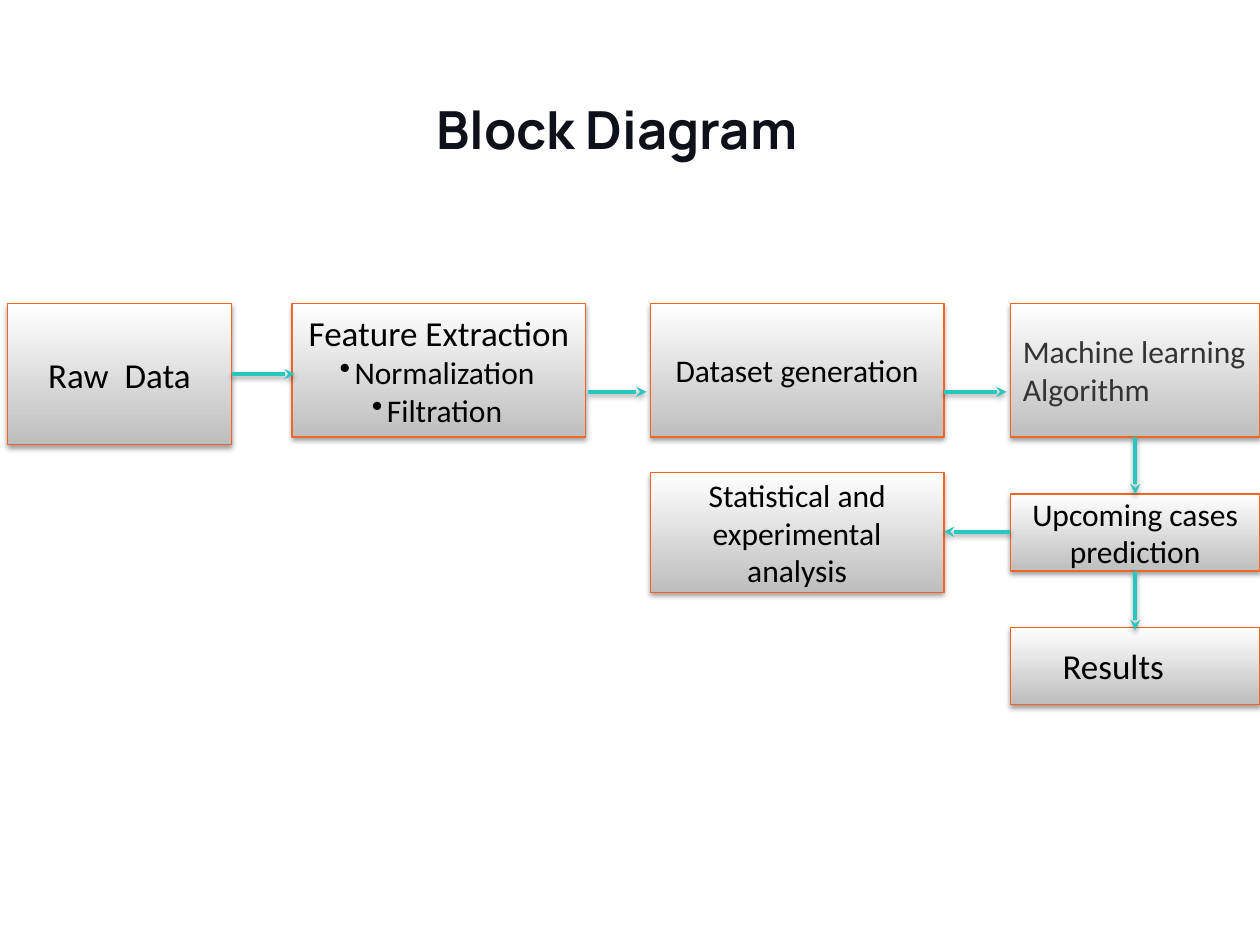
from dataclasses import dataclass

from lxml import etree
from pptx import Presentation
from pptx import util as u
from pptx.dml.color import RGBColor
from pptx.enum import shapes, text
from pptx.oxml import ns

COLORS = {
    "top": "FFFFFF",
    "bottom": "BEBEBE",
    "border": "F46524",
    "arrow": "27C7BD",
    "shadow": "000000",
    "title": "0E101A",
    "black": "000000",
    "gray": "333333",
}
CENTER = text.PP_ALIGN.CENTER
LEFT = text.PP_ALIGN.LEFT

RAW_X, FEATURE_X, DATASET_X, MODEL_X = 0.15, 5.89, 13.11, 20.37
RAW_W, MID_W, MODEL_W = 4.52, 5.92, 5.03
TOP_Y, TOP_H = 6.12, 2.69
PREDICTION_Y, RESULTS_Y, SMALL_H = 9.96, 12.65, 1.55
MODEL_MID = MODEL_X + MODEL_W / 2


@dataclass
class Block:
    left: float
    top: float
    width: float
    height: float
    heading: str
    size: int = 18
    color: str = "black"
    align: text.PP_ALIGN = CENTER
    inset: float = 0.25
    bullets: tuple[str, ...] = ()


@dataclass
class Arrow:
    x1: float
    y1: float
    x2: float
    y2: float


BLOCKS = [
    Block(RAW_X, TOP_Y, RAW_W, 2.84, "Raw  Data", size=20),
    Block(FEATURE_X, TOP_Y, MID_W, TOP_H, "Feature Extraction", size=20,
          bullets=("Normalization", "Filtration")),
    Block(DATASET_X, TOP_Y, MID_W, TOP_H, "Dataset generation"),
    Block(MODEL_X, TOP_Y, MODEL_W, TOP_H, "Machine learning Algorithm",
          color="gray", align=LEFT),
    Block(MODEL_X, PREDICTION_Y, MODEL_W, SMALL_H, "Upcoming cases prediction"),
    Block(DATASET_X, 9.53, MID_W, 2.41, "Statistical and experimental analysis"),
    Block(MODEL_X, RESULTS_Y, MODEL_W, SMALL_H, "Results", size=20,
          align=LEFT, inset=1.05),
]
ARROWS = [
    Arrow(RAW_X + RAW_W, 7.54, 5.94, 7.54),
    Arrow(11.86, 7.9, 13.03, 7.9),
    Arrow(DATASET_X + MID_W, 7.9, 20.29, 7.9),
    Arrow(MODEL_MID, TOP_Y + TOP_H, MODEL_MID, PREDICTION_Y),
    Arrow(MODEL_X, 10.72, DATASET_X + MID_W, 10.72),
    Arrow(MODEL_MID, PREDICTION_Y + SMALL_H, MODEL_MID, 12.7),
]


def rgb(name: str) -> RGBColor:
    return RGBColor.from_string(COLORS[name])


def add_child(parent, tag: str, **attributes: str):
    return etree.SubElement(parent, ns.qn(tag), attributes)


def add_shadow(properties) -> None:
    effects = properties.find(ns.qn("a:effectLst"))
    if effects is None:
        effects = add_child(properties, "a:effectLst")
    outer = add_child(effects, "a:outerShdw", blurRad=str(u.Pt(3.1)),
                      dist=str(u.Pt(1.6)), dir="5400000", rotWithShape="0")
    tint = add_child(outer, "a:srgbClr", val=COLORS["shadow"])
    add_child(tint, "a:alpha", val="38000")


def style_run(paragraph, font: str, size: int, color: str, bold: bool = False) -> None:
    for run in paragraph.runs:
        run.font.name = font
        run.font.size = u.Pt(size)
        run.font.bold = bold
        run.font.color.rgb = rgb(color)


def add_bullet(paragraph) -> None:
    properties = paragraph._p.get_or_add_pPr()
    properties.set("marL", "0")
    properties.set("indent", str(-u.Cm(0.3)))
    tint = add_child(properties, "a:buClr")
    add_child(tint, "a:srgbClr", val=COLORS["black"])
    add_child(properties, "a:buChar", char="•")


def draw_block(slide, block: Block) -> None:
    box = slide.shapes.add_shape(
        shapes.MSO_SHAPE.RECTANGLE, u.Cm(block.left), u.Cm(block.top),
        u.Cm(block.width), u.Cm(block.height))
    box.fill.gradient()
    box.fill.gradient_angle = 270
    for stop, name, position in zip(box.fill.gradient_stops, ("top", "bottom"), (0, 1)):
        stop.color.rgb = rgb(name)
        stop.position = position
    box.line.color.rgb = rgb("border")
    box.line.width = u.Pt(0.75)
    box.shadow.inherit = False
    add_shadow(box._element.spPr)

    frame = box.text_frame
    frame.word_wrap = True
    frame.vertical_anchor = text.MSO_ANCHOR.MIDDLE
    frame.margin_left = u.Cm(block.inset)
    frame.text = "\n".join((block.heading, *block.bullets))
    for index, paragraph in enumerate(frame.paragraphs):
        paragraph.alignment = block.align
        style_run(paragraph, "Calibri", 18 if index else block.size, block.color)
        if index:
            add_bullet(paragraph)


def draw_arrow(slide, arrow: Arrow) -> None:
    link = slide.shapes.add_connector(
        shapes.MSO_CONNECTOR.STRAIGHT, u.Cm(arrow.x1), u.Cm(arrow.y1),
        u.Cm(arrow.x2), u.Cm(arrow.y2))
    link.line.color.rgb = rgb("arrow")
    link.line.width = u.Pt(2)
    add_child(link.line._get_or_add_ln(), "a:tailEnd", type="stealth")
    add_shadow(link._element.spPr)


def draw_title(slide) -> None:
    title = slide.shapes.add_textbox(u.Cm(4.5), u.Cm(1.83), u.Cm(15.88), u.Cm(1.55))
    frame = title.text_frame
    frame.word_wrap = True
    frame.text = "Block Diagram"
    frame.paragraphs[0].alignment = CENTER
    style_run(frame.paragraphs[0], "Manrope", 30, "title", bold=True)


deck = Presentation()
deck.slide_width, deck.slide_height = u.Cm(25.4), u.Cm(19.05)
diagram = deck.slides.add_slide(deck.slide_layouts[6])
draw_title(diagram)
for block in BLOCKS:
    draw_block(diagram, block)
for arrow in ARROWS:
    draw_arrow(diagram, arrow)
deck.save("out.pptx")
